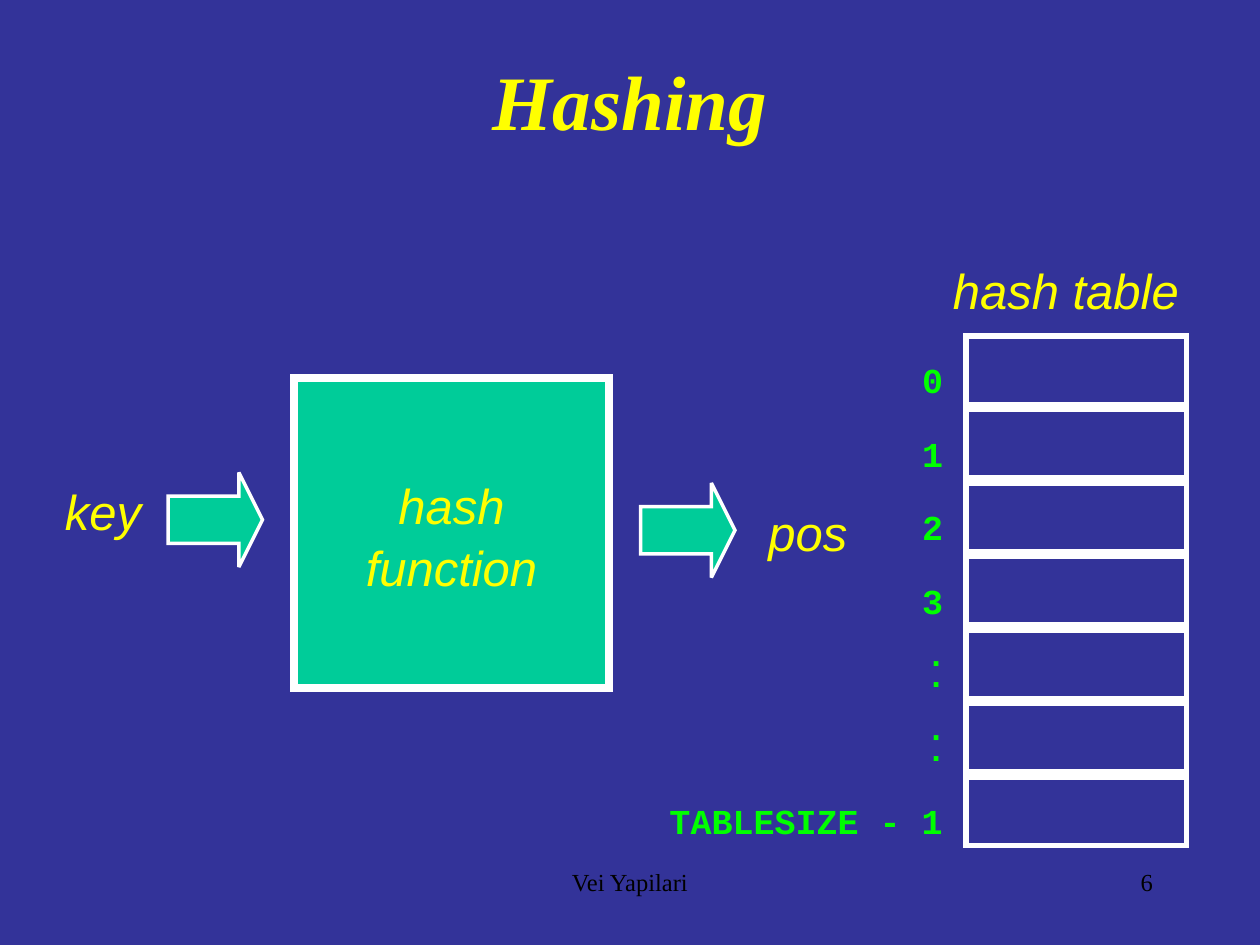
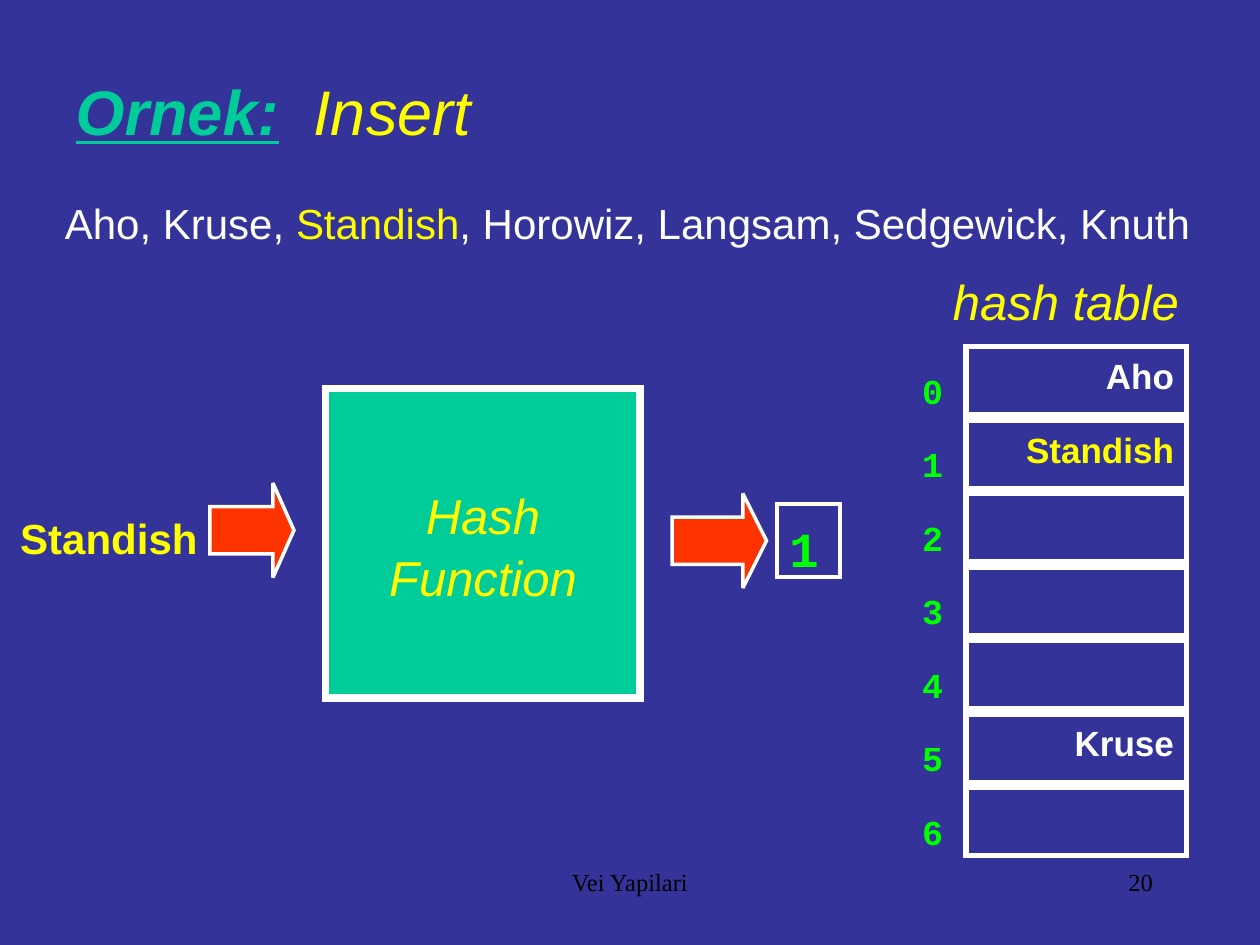
from dataclasses import dataclass
from typing import NamedTuple

from lxml import etree
from pptx import Presentation
from pptx.dml.color import RGBColor
from pptx.enum.shapes import MSO_SHAPE
from pptx.enum.text import MSO_ANCHOR, MSO_AUTO_SIZE, PP_ALIGN
from pptx.oxml.ns import qn
from pptx.util import Inches, Pt

LEFT, CENTER, RIGHT = PP_ALIGN.LEFT, PP_ALIGN.CENTER, PP_ALIGN.RIGHT
TOP, MIDDLE = MSO_ANCHOR.TOP, MSO_ANCHOR.MIDDLE
RECTANGLE, ARROW = MSO_SHAPE.RECTANGLE, MSO_SHAPE.RIGHT_ARROW

NAVY = RGBColor(0x33, 0x33, 0x99)
YELLOW = RGBColor(0xFF, 0xFF, 0x00)
WHITE = RGBColor(0xFF, 0xFF, 0xFF)
BLACK = RGBColor(0x00, 0x00, 0x00)
TEAL = RGBColor(0x00, 0xCC, 0x99)
GREEN = RGBColor(0x00, 0xFF, 0x00)
RED = RGBColor(0xFF, 0x33, 0x00)

SANS, MONO, SERIF = "Arial", "Courier New", "Times New Roman"
TITLE_ONLY = 5

# The slide is a grid of 120 columns by 90 rows
WIDTH, HEIGHT = Inches(10), Inches(7.5)
COLUMN, ROW = WIDTH / 120, HEIGHT / 90
SIDE_INSET, TOP_INSET = Inches(0.1), Inches(0.05)
BASELINE_SHIFT = {SANS: 0.05, MONO: 0.17, SERIF: 0}  # in ems

# Hash table geometry
CELL_LEFT, CELL_WIDTH, CELL_HEIGHT, CELL_PITCH = 92, 21, 6.5, 7
LABEL_LEFT, LABEL_WIDTH = 61, 30


class Area(NamedTuple):
    column: float
    row: float
    columns: float
    rows: float

    def lengths(self) -> tuple[int, int, int, int]:
        return (round(self.column * COLUMN), round(self.row * ROW),
                round(self.columns * COLUMN), round(self.rows * ROW))


@dataclass(frozen=True)
class Style:
    size: float
    color: RGBColor
    font: str = SANS
    bold: bool = False
    italic: bool = False
    underline: bool = False


class Run(NamedTuple):
    text: str
    style: Style


class Label(NamedTuple):
    area: Area
    runs: list[Run]
    align: PP_ALIGN = LEFT


class Arrow(NamedTuple):
    area: Area
    color: RGBColor


class Title(NamedTuple):
    area: Area
    runs: list[Run]
    align: PP_ALIGN
    anchor: MSO_ANCHOR


@dataclass(frozen=True)
class HashSlide:
    title: Title
    number: str
    function_name: str
    function_area: Area
    arrows: list[Arrow]
    labels: list[Label]
    table_row: int
    indexes: list[str]
    entries: dict[int, Run]


CAPTION = Style(28, YELLOW, italic=True)
INDEX = Style(20, GREEN, MONO, bold=True)
DOTS = Style(28, GREEN)
POSITION = Style(28, GREEN, MONO, bold=True)
ENTRY = Style(20, WHITE, bold=True)
NEW_ENTRY = Style(20, YELLOW, bold=True)
KEY = Style(24, YELLOW, bold=True)
NAME = Style(24, WHITE)
CURRENT_NAME = Style(24, YELLOW)
FOOTER = Style(14, BLACK, SERIF)
POSITION_BOX = Area(74, 48, 6, 7)


def write(shape, runs: list[Run], align: PP_ALIGN = LEFT,
          anchor: MSO_ANCHOR = TOP) -> None:
    """Fill a shape's text frame run by run."""
    frame = shape.text_frame
    frame.word_wrap = True
    frame.auto_size = MSO_AUTO_SIZE.NONE
    frame.vertical_anchor = anchor
    frame.margin_left = frame.margin_right = SIDE_INSET
    frame.margin_bottom = TOP_INSET
    first = runs[0].style
    frame.margin_top = TOP_INSET + Pt(first.size * BASELINE_SHIFT[first.font])
    paragraph = frame.paragraphs[0]
    paragraph.alignment = align
    for text, style in runs:
        run = paragraph.add_run()
        run.text = text
        font = run.font
        font.name, font.size = style.font, Pt(style.size)
        font.bold, font.italic = style.bold, style.italic
        font.underline = style.underline
        font.color.rgb = style.color


def add_label(slide, label: Label) -> None:
    write(slide.shapes.add_textbox(*label.area.lengths()), label.runs, label.align)


def add_box(slide, kind: MSO_SHAPE, area: Area, line_width: float,
            fill: RGBColor | None = None):
    """Add a white-edged shape with sharp corners, hollow unless filled."""
    shape = slide.shapes.add_shape(kind, *area.lengths())
    shape.shadow.inherit = False
    if fill is None:
        shape.fill.background()
    else:
        shape.fill.solid()
        shape.fill.fore_color.rgb = fill
    shape.line.color.rgb = WHITE
    shape.line.width = Pt(line_width)
    outline = shape.line.fill._xPr
    etree.SubElement(outline, qn("a:miter")).set("lim", "800000")
    return shape


def add_arrow(slide, arrow: Arrow) -> None:
    shape = add_box(slide, ARROW, arrow.area, 2, arrow.color)
    shape.adjustments[0], shape.adjustments[1] = 0.5, 0.25


def add_function(slide, name: str, area: Area) -> None:
    shape = add_box(slide, RECTANGLE, area, 4.5, TEAL)
    write(shape, [Run(name, CAPTION)], CENTER, MIDDLE)
    frame = shape.text_frame
    frame.margin_left = frame.margin_right = 3 * SIDE_INSET
    frame.paragraphs[0].line_spacing = 1.05


def add_hash_table(slide, first_row: int, indexes: list[str],
                   entries: dict[int, Run]) -> None:
    add_label(slide, Label(Area(88, first_row - 8, 27, 7),
                           [Run("hash table", CAPTION)], CENTER))
    for position, index in enumerate(indexes):
        row = first_row + position * CELL_PITCH
        cell = add_box(slide, RECTANGLE,
                       Area(CELL_LEFT, row, CELL_WIDTH, CELL_HEIGHT), 3)
        if position in entries:
            write(cell, [entries[position]], RIGHT)
        dots = index == ":"
        area = Area(LABEL_LEFT, row if dots else row + 1, LABEL_WIDTH, 5.5)
        add_label(slide, Label(area, [Run(index, DOTS if dots else INDEX)], RIGHT))


def add_title(slide, title: Title) -> None:
    shape = slide.shapes.title
    shape.left, shape.top, shape.width, shape.height = title.area.lengths()
    write(shape, title.runs, title.align, title.anchor)


def add_footer(slide, number: str) -> None:
    add_label(slide, Label(Area(41, 82, 38, 6), [Run("Vei Yapilari", FOOTER)], CENTER))
    add_label(slide, Label(Area(86, 82, 25, 6), [Run(number, FOOTER)], RIGHT))


def add_hash_slide(presentation, content: HashSlide):
    slide = presentation.slides.add_slide(presentation.slide_layouts[TITLE_ONLY])
    add_title(slide, content.title)
    add_function(slide, content.function_name, content.function_area)
    for arrow in content.arrows:
        add_arrow(slide, arrow)
    for label in content.labels:
        add_label(slide, label)
    add_hash_table(slide, content.table_row, content.indexes, content.entries)
    add_footer(slide, content.number)
    return slide


HASHING = HashSlide(
    title=Title(Area(9, 2, 102, 15),
                [Run("Hashing", Style(44, YELLOW, SERIF, bold=True, italic=True))],
                CENTER, MIDDLE),
    number="6",
    function_name="hash function",
    function_area=Area(28, 36, 30, 29.5),
    arrows=[Arrow(Area(16, 45, 9, 9), TEAL), Arrow(Area(61, 46, 9, 9), TEAL)],
    labels=[Label(Area(5, 45, 10, 7), [Run("key", CAPTION)]),
            Label(Area(72, 47, 10, 7), [Run("pos", CAPTION)])],
    table_row=32,
    indexes=["0", "1", "2", "3", ":", ":", "TABLESIZE - 1"],
    entries={},
)

INSERT = HashSlide(
    title=Title(Area(6, 6, 105, 8.5),
                [Run("Ornek:", Style(36, TEAL, bold=True, italic=True, underline=True)),
                 Run("  Insert", Style(36, YELLOW, italic=True))],
                LEFT, TOP),
    number="20",
    function_name="Hash Function",
    function_area=Area(31, 37, 30, 29.5),
    arrows=[Arrow(Area(20, 46, 8, 9), RED), Arrow(Area(64, 47, 9, 9), RED)],
    labels=[Label(Area(0, 48, 20, 6), [Run("Standish", KEY)], RIGHT),
            Label(Area(5, 18, 111, 6),
                  [Run("Aho, Kruse, ", NAME), Run("Standish", CURRENT_NAME),
                   Run(", Horowiz, Langsam, Sedgewick, Knuth", NAME)])],
    table_row=33,
    indexes=[str(index) for index in range(7)],
    entries={0: Run("Aho", ENTRY), 1: Run("Standish", NEW_ENTRY),
             5: Run("Kruse", ENTRY)},
)


def main() -> None:
    presentation = Presentation()
    presentation.slide_width, presentation.slide_height = WIDTH, HEIGHT
    background = presentation.slide_master.background.fill
    background.solid()
    background.fore_color.rgb = NAVY

    add_hash_slide(presentation, HASHING)
    insert_slide = add_hash_slide(presentation, INSERT)

    # Position computed for the inserted key
    position = add_box(insert_slide, RECTANGLE, POSITION_BOX, 2.25)
    write(position, [Run("1", POSITION)])

    presentation.save("out.pptx")


if __name__ == "__main__":
    main()
